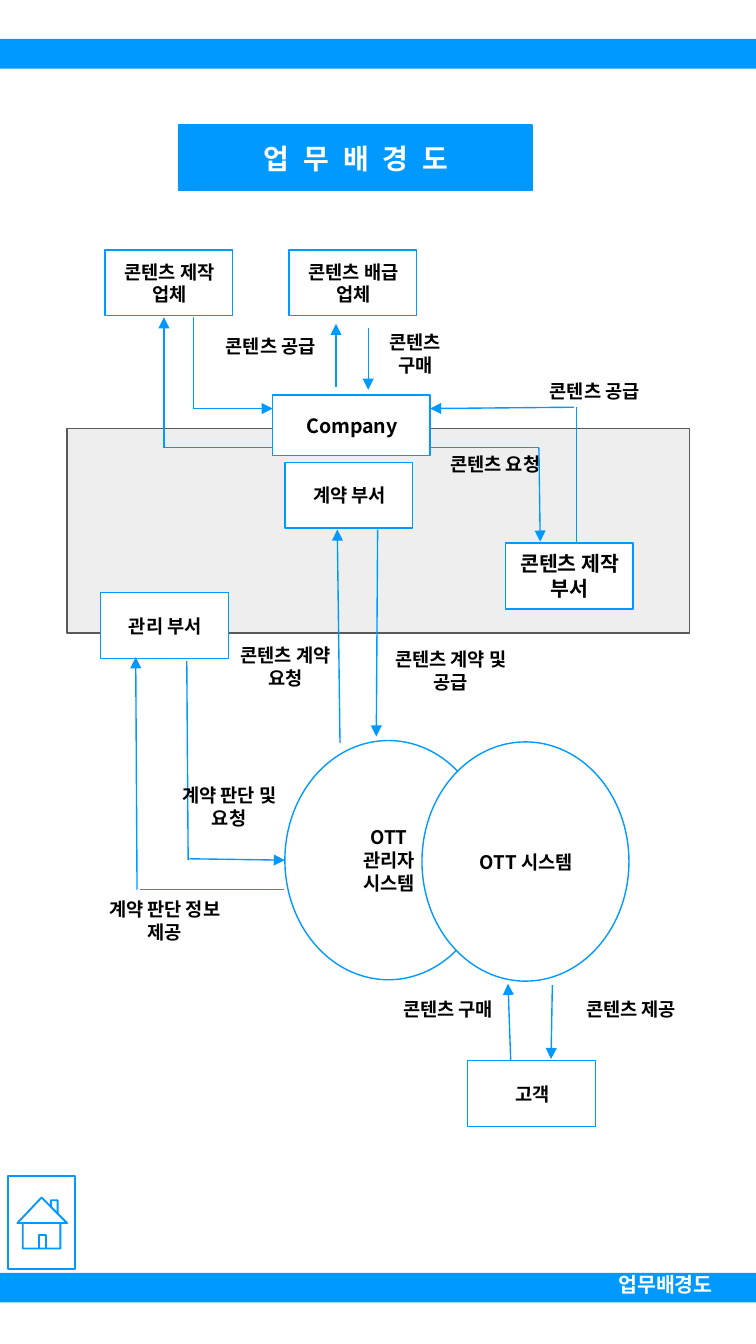
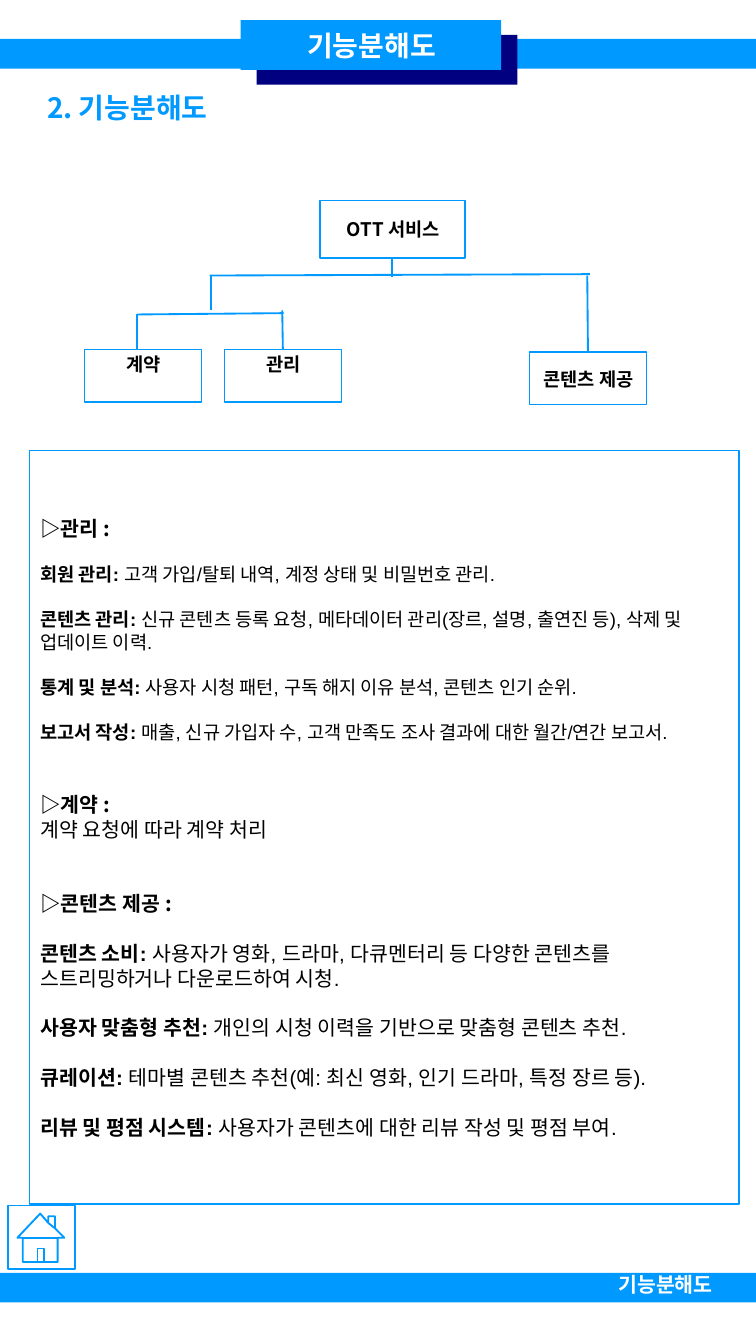
from lxml.etree import SubElement
from pptx import Presentation
from pptx.dml.color import RGBColor
from pptx.enum.shapes import MSO_CONNECTOR as Link, MSO_SHAPE as Kind
from pptx.enum.text import MSO_ANCHOR as Anchor, MSO_AUTO_SIZE as AutoSize, PP_ALIGN as Align
from pptx.oxml.ns import qn
from pptx.util import Pt

PX = 9144  # 100 px to the inch
BLUE, NAVY, WHITE, BLACK = "0099FF", "000080", "FFFFFF", "000000"
GREY, DARK_GREY = "EEEEEE", "595959"
KOREAN, LATIN = "Noto Sans CJK KR", "Arial"
LINE_HEIGHT, ITEM_GAP = 1.22, 1.2
color = RGBColor.from_string


def dress(box, at, rows="", size=10, ink=BLACK, fill=None, line=None,
          align=Align.CENTER, anchor=Anchor.MIDDLE, font=KOREAN):
    """Place and style a box; rows is plain text or (space before, size, spans)."""
    box.left, box.top, box.width, box.height = [length * PX for length in at]
    if fill:
        box.fill.solid()
        box.fill.fore_color.rgb = color(fill)
    else:
        box.fill.background()
    if line:
        box.line.color.rgb = color(line)
        box.line.width = Pt(0.75)
    else:
        box.line.fill.background()
    if hasattr(box, "shadow"):
        box.shadow.inherit = False
    frame = box.text_frame
    frame.word_wrap = True
    frame.auto_size = AutoSize.NONE
    frame.vertical_anchor = anchor
    frame.margin_left, frame.margin_right = 8 * PX, 7 * PX
    frame.margin_top = frame.margin_bottom = 4 * PX
    if isinstance(rows, str):
        rows = [(0, size, [(text, True, font)]) for text in rows.split("\n") if text]
    for index, (before, row_size, spans) in enumerate(rows):
        para = frame.add_paragraph() if index else frame.paragraphs[0]
        para.alignment = align
        para.line_spacing = Pt(row_size * LINE_HEIGHT)
        para.space_before = Pt(before)
        for text, bold, face in spans:
            span = para.add_run()
            span.text = text
            span.font.size = Pt(row_size)
            span.font.bold = bold
            span.font.name = face
            span.font.color.rgb = color(ink)
            SubElement(span._r.get_or_add_rPr(), qn("a:ea"), typeface=KOREAN)
    return box


def add_link(page, ends, width=0.75, arrow=False):
    link = page.shapes.add_connector(Link.STRAIGHT, *[end * PX for end in ends])
    link.line.color.rgb = color(BLUE)
    link.line.width = Pt(width)
    if arrow:
        SubElement(link.line._get_or_add_ln(), qn("a:tailEnd"), type="triangle")
    SubElement(link._element.spPr, qn("a:effectLst"))
    return link


deck = Presentation()
deck.slide_width, deck.slide_height = 1125 * PX // 2, 1000 * PX  # 9:16
context = deck.slides.add_slide(deck.slide_layouts[5])
functions = deck.slides.add_slide(deck.slide_layouts[1])

# Bands, footer and home icon on both pages
HOUSE = [(18, 0), (0, 19), (4, 19), (4, 38), (32, 38), (32, 19), (37, 19),
         (30, 12), (30, 2), (25, 2), (25, 7)]
HOUSE_STROKES = [[(25, 7), (30, 12)], [(32, 19), (4, 19)],
                 [(16, 38), (16, 28), (21, 28), (21, 38)]]
for page, footer, frame_top, house_top, house_scale in [
        (context, "업무배경도", 875, 891, 1),
        (functions, "기능분해도", 897, 903, 0.94)]:
    for top in (947, 29):
        band = dress(page.shapes.add_shape(Kind.RECTANGLE, 0, 0, 0, 0), (0, top, 563, 22),
                     fill=BLUE)
        band.width = deck.slide_width
    dress(page.shapes.add_textbox(0, 0, 0, 0), (452, 942, 104, 31), footer, 11, WHITE,
          align=Align.LEFT, anchor=Anchor.TOP)
    icon = page.shapes.build_freeform(6, frame_top, scale=PX)
    icon.add_line_segments([(56, frame_top), (56, 944), (6, 944)], close=True)
    for stroke in [HOUSE] + HOUSE_STROKES:
        points = [(round(13 + x * house_scale), round(house_top + y * house_scale))
                  for x, y in stroke]
        icon.move_to(*points[0])
        icon.add_line_segments(points[1:], close=stroke is HOUSE)
    home = icon.convert_to_shape()
    home.fill.background()
    home.line.color.rgb = color(BLUE)
    home.line.width = Pt(1)
    home.shadow.inherit = False

# Page 1: business context
title = dress(context.shapes.title, (133, 93, 263, 49), "업 무 배 경 도", 15, WHITE, BLUE, BLUE)
title.text_frame.paragraphs[0].runs[0]._r.get_or_add_rPr().set("spc", "200")
dress(context.shapes.add_shape(Kind.RECTANGLE, 0, 0, 0, 0), (50, 319, 463, 152),
      fill=GREY, line=DARK_GREY)

for left, top, name, size, font in [
        (78, 186, "콘텐츠 제작 업체", 10, KOREAN),
        (215, 186, "콘텐츠 배급 업체", 10, KOREAN),
        (212, 344, "계약 부서", 10, KOREAN),
        (75, 441, "관리 부서", 10, KOREAN),
        (376, 404, "콘텐츠 제작 부서", 11, LATIN),
        (348, 789, "고객", 10, KOREAN)]:
    dress(context.shapes.add_shape(Kind.RECTANGLE, 0, 0, 0, 0), (left, top, 95, 49),
          name, size, fill=WHITE, line=BLUE, font=font)
dress(context.shapes.add_shape(Kind.RECTANGLE, 0, 0, 0, 0), (203, 294, 117, 45),
      "Company", 10.5, fill=WHITE, line=BLUE)
for left, top, name, fill in [(212, 551, "OTT\n관리자\n시스템", None),
                              (314, 552, "OTT 시스템", WHITE)]:
    dress(context.shapes.add_shape(Kind.OVAL, 0, 0, 0, 0), (left, top, 154, 178),
          name, fill=fill, line=BLUE)

for ends in [(281, 394, 280, 548), (253, 553, 251, 394), (274, 244, 274, 290),
             (250, 288, 250, 241), (122, 333, 122, 236), (144, 304, 203, 304),
             (401, 333, 402, 403), (427, 303, 320, 304), (141, 639, 212, 640),
             (102, 662, 101, 489), (380, 789, 378, 732), (411, 733, 410, 788)]:
    add_link(context, ends, arrow=True)
for ends in [(203, 333, 122, 333), (144, 304, 144, 236), (320, 333, 401, 333),
             (429, 404, 429, 303), (140, 640, 139, 492), (211, 662, 104, 662)]:
    add_link(context, ends)

for left, top, width, height, flow in [
        (151, 245, 100, 25, "콘텐츠 공급"), (272, 242, 73, 42, "콘텐츠 구매"),
        (392, 278, 100, 25, "콘텐츠 공급"), (318, 333, 100, 25, "콘텐츠 요청"),
        (283, 738, 100, 25, "콘텐츠 구매"), (419, 738, 100, 25, "콘텐츠 제공"),
        (162, 475, 100, 42, "콘텐츠 계약 요청"), (285, 478, 100, 42, "콘텐츠 계약 및 공급"),
        (120, 579, 100, 42, "계약 판단 및 요청"), (72, 664, 100, 42, "계약 판단 정보 제공")]:
    dress(context.shapes.add_textbox(0, 0, 0, 0), (left, top, width, height), flow,
          anchor=Anchor.TOP)

# Page 2: function breakdown
dress(functions.shapes.title, (27, 63, 348, 37), "2. 기능분해도", 15, BLUE,
      align=Align.LEFT, anchor=Anchor.TOP)
for left, top, fill, text in [(191, 26, NAVY, ""), (179, 15, BLUE, "기능분해도")]:
    dress(functions.shapes.add_shape(Kind.RECTANGLE, 0, 0, 0, 0), (left, top, 194, 37),
          text, 15, WHITE, fill)

nodes = {}
for name, at, anchor in [
        ("OTT 서비스", (238, 149, 108, 43), Anchor.MIDDLE),
        ("계약", (63, 260, 87, 39), Anchor.TOP),
        ("관리", (167, 260, 87, 39), Anchor.TOP),
        ("콘텐츠 제공", (394, 262, 87, 39), Anchor.MIDDLE)]:
    nodes[name] = dress(functions.shapes.add_shape(Kind.RECTANGLE, 0, 0, 0, 0), at, name,
                        line=BLUE, anchor=anchor)
    if anchor == Anchor.TOP:
        nodes[name].text_frame.margin_top = 2 * PX

for ends in [(102, 234, 102, 260), (102, 234, 211, 233),
             (156, 205, 439, 204), (157, 205, 157, 231)]:
    add_link(functions, ends, 1)
add_link(functions, (292, 192, 292, 206), 1).begin_connect(nodes["OTT 서비스"], 2)
add_link(functions, (210, 231, 210, 260), 1).end_connect(nodes["관리"], 0)
add_link(functions, (437, 205, 437, 262), 1).end_connect(nodes["콘텐츠 제공"], 0)

SECTIONS = [
    ("▷관리 :", 10, [
        ("회원 관리:", " 고객 가입/탈퇴 내역, 계정 상태 및 비밀번호 관리."),
        ("콘텐츠 관리:", " 신규 콘텐츠 등록 요청, 메타데이터 관리(장르, 설명, 출연진 등), "
                    "삭제 및 업데이트 이력."),
        ("통계 및 분석:", " 사용자 시청 패턴, 구독 해지 이유 분석, 콘텐츠 인기 순위."),
        ("보고서 작성:", " 매출, 신규 가입자 수, 고객 만족도 조사 결과에 대한 월간/연간 보고서.")]),
    ("▷계약 :", 11, [("", "계약 요청에 따라 계약 처리")]),
    ("▷콘텐츠 제공 :", 11, [
        ("콘텐츠 소비:", " 사용자가 영화, 드라마, 다큐멘터리 등 다양한 콘텐츠를 "
                    "스트리밍하거나 다운로드하여 시청."),
        ("사용자 맞춤형 추천:", " 개인의 시청 이력을 기반으로 맞춤형 콘텐츠 추천."),
        ("큐레이션:", " 테마별 콘텐츠 추천(예: 최신 영화, 인기 드라마, 특정 장르 등)."),
        ("리뷰 및 평점 시스템:", " 사용자가 콘텐츠에 대한 리뷰 작성 및 평점 부여.")]),
]
rows = []
for heading, size, items in SECTIONS:
    rows.append((26 if rows else 0, 11, [(heading, True, KOREAN)]))
    for term, detail in items:
        if term:
            rows.append((size * ITEM_GAP, size, [(term, True, LATIN), (detail, False, LATIN)]))
        else:
            rows.append((0, size, [(detail, False, KOREAN)]))
details = dress(functions.placeholders[1], (22, 335, 528, 561), rows, line=BLUE, align=Align.LEFT)
for para in details.text_frame.paragraphs:
    props = para._p.get_or_add_pPr()
    props.set("marL", "0")
    props.set("indent", "0")
    SubElement(props, qn("a:buNone"))

deck.save("out.pptx")
